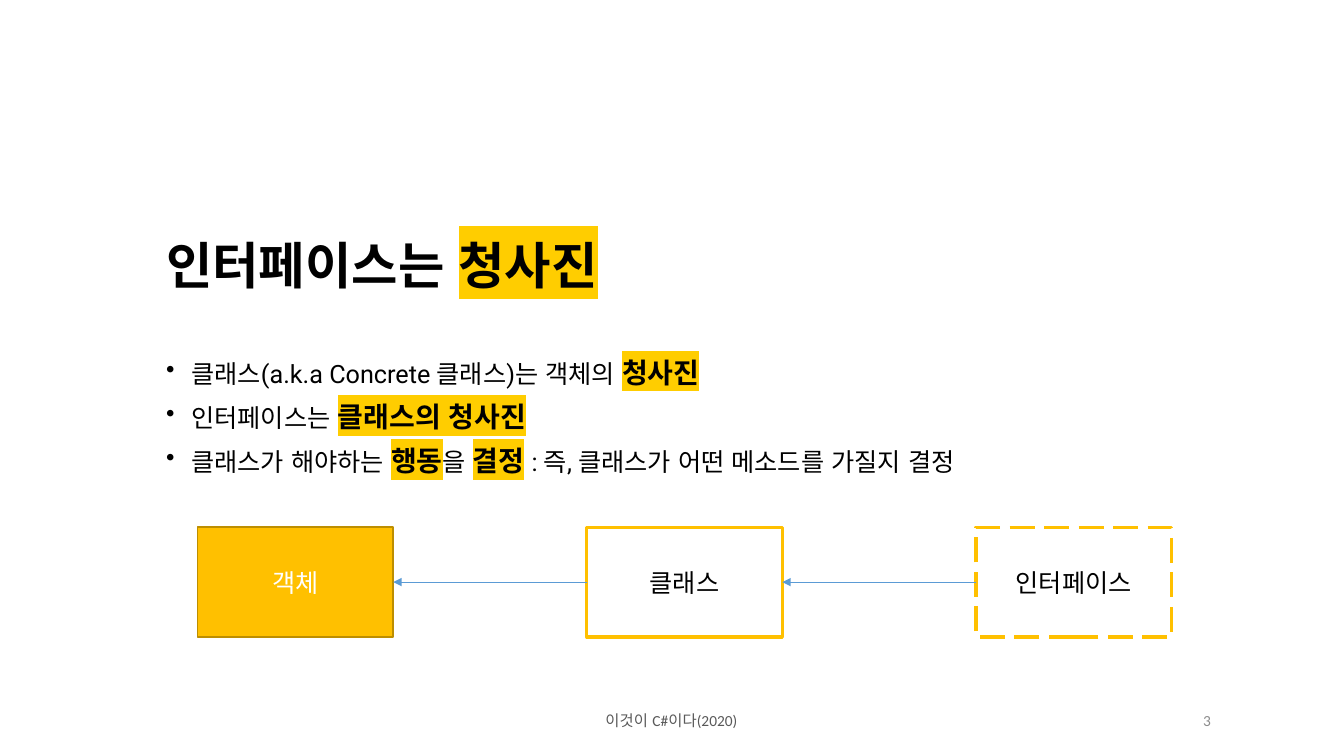
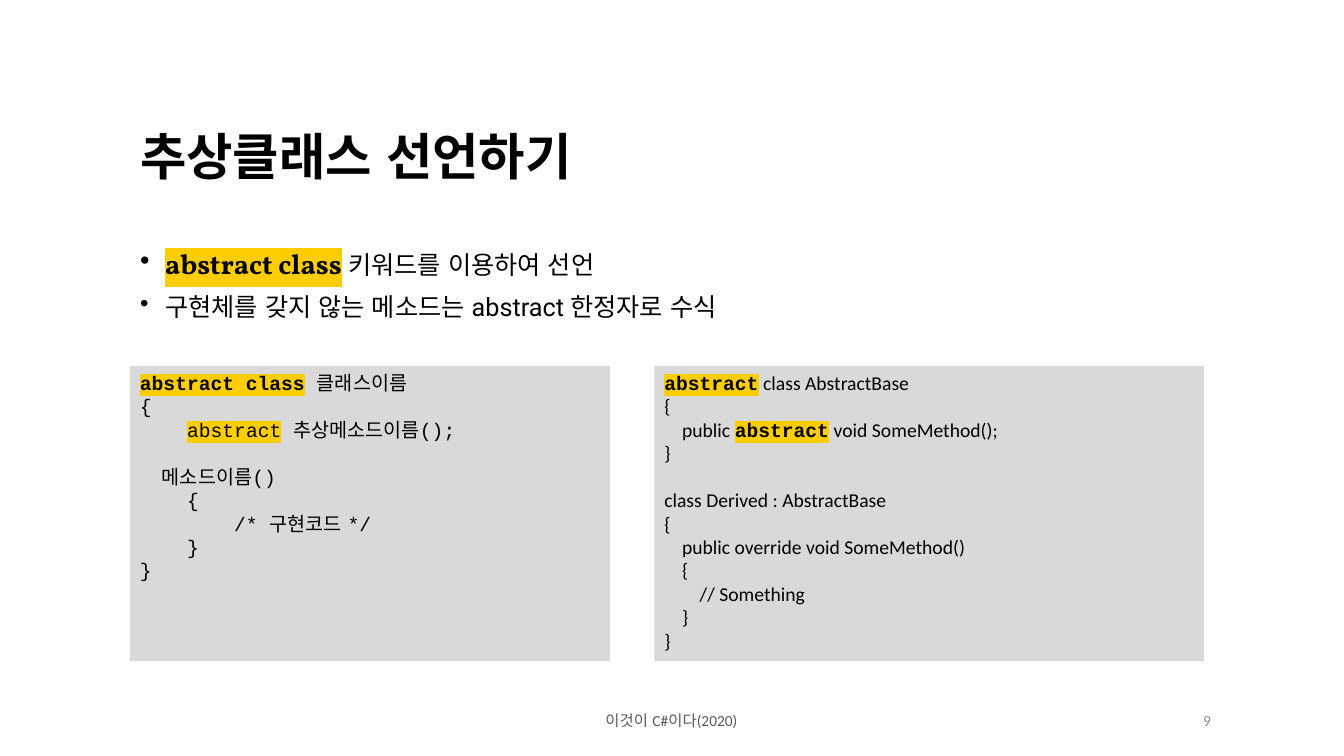
"""Build two lecture slides on C# interfaces and abstract classes."""
from dataclasses import dataclass

from lxml import etree
from pptx import Presentation
from pptx.dml.color import RGBColor
from pptx.enum.dml import MSO_LINE
from pptx.enum.lang import MSO_LANGUAGE_ID
from pptx.enum.shapes import MSO_CONNECTOR, MSO_SHAPE
from pptx.enum.text import MSO_ANCHOR, PP_ALIGN
from pptx.oxml.ns import qn
from pptx.util import Pt

PX = 9144
LEFT, CENTER, RIGHT = PP_ALIGN.LEFT, PP_ALIGN.CENTER, PP_ALIGN.RIGHT
TOP, MIDDLE = MSO_ANCHOR.TOP, MSO_ANCHOR.MIDDLE
RECT, STRAIGHT = MSO_SHAPE.RECTANGLE, MSO_CONNECTOR.STRAIGHT
LONG_DASH = MSO_LINE.LONG_DASH
KOREAN = MSO_LANGUAGE_ID.KOREAN
COLORS = {
    "black": "000000", "white": "FFFFFF", "mark": "FFCD00", "amber": "FFC000",
    "ochre": "BD8E00", "blue": "5B9BD5", "panel": "D9D9D9",
    "footer": "595959", "number": "8C8C8C",
}


@dataclass(frozen=True)
class Style:
    size: int
    font: str
    color: str = "black"
    bold: bool = False
    mark: bool = False


@dataclass(frozen=True)
class Para:
    runs: list
    before: float = 0
    bullet: bool = False


@dataclass(frozen=True)
class Node:
    label: str
    fill: str
    line: str
    width: float
    color: str = "black"
    dash: MSO_LINE | None = None


TITLE = Style(36, "Vollkorn", bold=True)
TITLE_MARK = Style(36, "Vollkorn", bold=True, mark=True)
PLAIN = Style(18, "Roboto")
STRONG = Style(20, "Vollkorn", bold=True, mark=True)
MONO = Style(14, "Courier New")
MONO_MARK = Style(14, "Courier New", mark=True)
MONO_STRONG = Style(14, "Courier New", bold=True, mark=True)
CODE = Style(14, "Calibri")
FOOTER = "이것이 C#이다(2020)"
BODY_SPACING, BULLET_GAP, TITLE_GAP = 0.9, 10, 45.5
CODE_LINE = 16.75

NODES = [
    Node("객체", "amber", "ochre", 1, "white"),
    Node("클래스", "white", "amber", 2.25),
    Node("인터페이스", "white", "amber", 2.25, dash=LONG_DASH),
]
BLUEPRINT_TITLE = [("인터페이스는 ", TITLE), ("청사진", TITLE_MARK)]
BLUEPRINT_BULLETS = [
    [("클래스(a.k.a Concrete 클래스)는 객체의 ", PLAIN), ("청사진", STRONG)],
    [("인터페이스는 ", PLAIN), ("클래스의 청사진", STRONG)],
    [("클래스가 해야하는 ", PLAIN), ("행동", STRONG), ("을 ", PLAIN), ("결정", STRONG),
     (" : 즉, 클래스가 어떤 메소드를 가질지 결정", PLAIN)],
]
ABSTRACT_TITLE = [("추상클래스 선언하기", TITLE)]
ABSTRACT_BULLETS = [
    [("abstract class", STRONG), (" 키워드를 이용하여 선언", PLAIN)],
    [("구현체를 갖지 않는 메소드는 abstract 한정자로 수식", PLAIN)],
]
SYNTAX = [
    Para([("abstract class", MONO_STRONG), (" 클래스이름", MONO)]),
    Para([("{", MONO)]),
    Para([("    ", MONO), ("abstract", MONO_MARK), (" 추상메소드이름();", MONO)]),
    Para([("    메소드이름()", MONO)], before=CODE_LINE),
    *[Para([(line, MONO)]) for line in ("    {", "        /* 구현코드 */", "    }", "}")],
]
EXAMPLE = [
    Para([("abstract", MONO_STRONG), (" class AbstractBase", CODE)]),
    Para([("{", CODE)]),
    Para([("    public ", CODE), ("abstract", MONO_STRONG), (" void SomeMethod();", CODE)]),
    Para([("}", CODE)]),
    Para([("class Derived : AbstractBase", CODE)], before=CODE_LINE),
    *[Para([(line, CODE)]) for line in (
        "{", "    public override void SomeMethod()", "    {",
        "        // Something", "    }", "}")],
]


def rgb(name: str) -> RGBColor:
    return RGBColor.from_string(COLORS[name])


def add_run(p, text: str, style: Style) -> None:
    r = p.add_run()
    r.text = text
    r.font.size, r.font.bold = Pt(style.size), style.bold
    r.font.language_id = KOREAN
    r.font.color.rgb = rgb(style.color)
    r.font.name = style.font
    if style.mark:
        mark = etree.Element(qn("a:highlight"))
        etree.SubElement(mark, qn("a:srgbClr"), val=COLORS["mark"])
        r._r.get_or_add_rPr().find(qn("a:solidFill")).addnext(mark)


def write(s, paras: list[Para], *, align=LEFT, anchor=TOP, spacing=None, inset=5) -> None:
    tf = s.text_frame
    tf.word_wrap, tf.vertical_anchor = True, anchor
    tf.margin_left = tf.margin_right = 10 * PX
    tf.margin_top = tf.margin_bottom = inset * PX
    for i, para in enumerate(paras):
        p = tf.add_paragraph() if i else tf.paragraphs[0]
        p.alignment = align
        if para.bullet:
            pr = p._p.get_or_add_pPr()
            pr.set("marL", str(25 * PX))
            pr.set("indent", str(-25 * PX))
            etree.SubElement(pr, qn("a:buChar"), char="•")
        if spacing:
            p.line_spacing = spacing
        p.space_before = Pt(para.before)
        for text, style in para.runs:
            add_run(p, text, style)


def add_text(slide, x: int, y: int, w: int, h: int, paras: list[Para], **fmt) -> None:
    write(slide.shapes.add_textbox(x * PX, y * PX, w * PX, h * PX), paras, **fmt)


def add_rect(slide, x: int, y: int, w: int, h: int, fill: str):
    s = slide.shapes.add_shape(RECT, x * PX, y * PX, w * PX, h * PX)
    s.shadow.inherit = False
    s.fill.solid()
    s.fill.fore_color.rgb = rgb(fill)
    s.line.fill.background()
    return s


def add_node(slide, x: int, node: Node):
    s = add_rect(slide, x, 523, 194, 109, node.fill)
    s.line.color.rgb = rgb(node.line)
    s.line.width = Pt(node.width)
    if node.dash is not None:
        s.line.dash_style = node.dash
    write(s, [Para([(node.label, Style(18, "Calibri", node.color))])],
          align=CENTER, anchor=MIDDLE)
    return s


def add_arrow(slide, source, target) -> None:
    c = slide.shapes.add_connector(STRAIGHT, 0, 0, 0, 0)
    c.begin_connect(source, 1)
    c.end_connect(target, 3)
    c.line.color.rgb = rgb("blue")
    c.line.width = Pt(0.5)
    etree.SubElement(c.line._get_or_add_ln(), qn("a:tailEnd"), type="triangle")
    etree.SubElement(c._element.spPr, qn("a:effectLst"))


def add_panel(slide, x: int, w: int, code: list[Para]) -> None:
    write(add_rect(slide, x, 363, w, 293, "panel"), code, spacing=Pt(CODE_LINE))


def add_slide(prs, number: int, x: int, y: int, title: list, bullets: list):
    slide = prs.slides.add_slide(prs.slide_layouts[6])
    add_text(slide, 441, 695, 450, 40, [Para([(FOOTER, Style(11, "Calibri", "footer"))])],
             align=CENTER, anchor=MIDDLE)
    add_text(slide, 941, 695, 270, 40, [Para([(str(number), Style(11, "Calibri", "number"))])],
             align=RIGHT, anchor=MIDDLE)
    items = [Para(runs, BULLET_GAP if i else TITLE_GAP, True)
             for i, runs in enumerate(bullets)]
    add_text(slide, x, y, 1048, 307, [Para(title), *items], spacing=BODY_SPACING, inset=10)
    return slide


def main() -> None:
    prs = Presentation()
    prs.slide_width, prs.slide_height = 1333 * PX, 750 * PX

    slide = add_slide(prs, 3, 155, 229, BLUEPRINT_TITLE, BLUEPRINT_BULLETS)
    boxes = [add_node(slide, 196 + 386 * i, node) for i, node in enumerate(NODES)]
    for target, source in zip(boxes, boxes[1:]):
        add_arrow(slide, source, target)

    slide = add_slide(prs, 9, 129, 121, ABSTRACT_TITLE, ABSTRACT_BULLETS)
    add_panel(slide, 129, 476, SYNTAX)
    add_panel(slide, 649, 545, EXAMPLE)

    prs.save("out.pptx")


if __name__ == "__main__":
    main()
